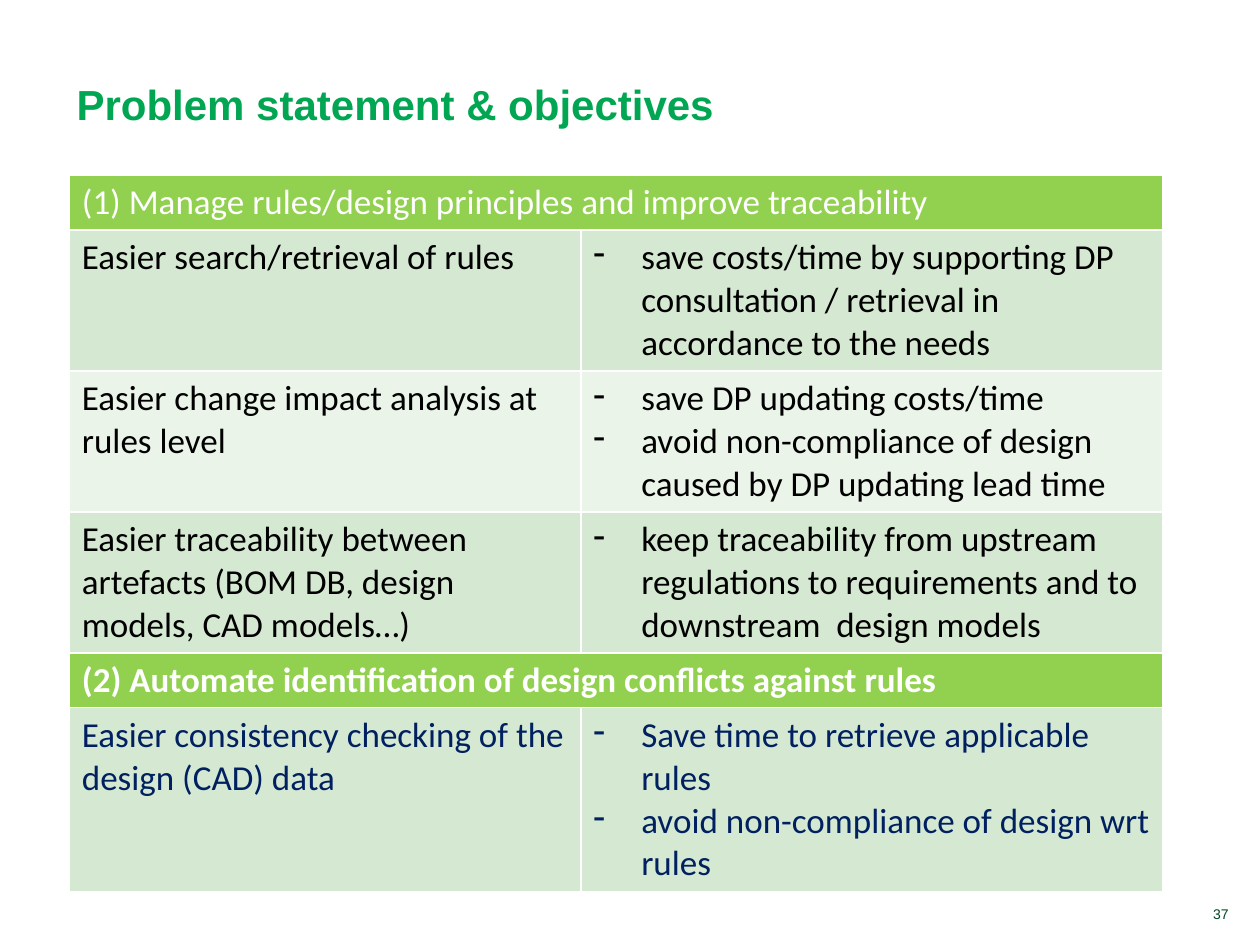
from lxml.etree import SubElement
from pptx import Presentation
from pptx.dml.color import RGBColor
from pptx.enum.text import MSO_ANCHOR, PP_ALIGN
from pptx.oxml.ns import qn
from pptx.util import Inches, Pt

# Content: (row height, fill, text colour, bold, cells as paragraph lists)
TITLE = "Problem statement & objectives"
PAGE = "37"
LIME, MINT, PALE = "92D050", "D5E8D1", "EBF4E9"
WHITE, BLACK, NAVY = "FFFFFF", "000000", "002060"
ROWS = [
    (0.43, LIME, WHITE, False,
     [["(1) Manage rules/design principles and improve traceability"]]),
    (1.12, MINT, BLACK, False,
     [["Easier search/retrieval of rules"],
      ["save costs/time by supporting DP consultation / retrieval in "
       "accordance to the needs"]]),
    (1.12, PALE, BLACK, False,
     [["Easier change impact analysis at rules level"],
      ["save DP updating costs/time",
       "avoid non-compliance of design caused by DP updating lead time"]]),
    (1.12, MINT, BLACK, False,
     [["Easier traceability between artefacts (BOM DB, design models, CAD models…)"],
      ["keep traceability from upstream regulations to requirements and to "
       "downstream  design models"]]),
    (0.43, LIME, WHITE, True,
     [["(2) Automate identification of design conflicts against rules"]]),
    (1.46, MINT, NAVY, False,
     [["Easier consistency checking of the design (CAD) data"],
      ["Save time to retrieve applicable  rules",
       "avoid non-compliance of design wrt rules"]]),
]
COLS = [4.06, 4.62]


def color(code):
    return RGBColor.from_string(code)


def style(par, code, **form):
    for key, val in form.items():
        setattr(par.font, key, val)
    par.font.color.rgb = color(code)


def add_label(slide, box, text, code, align, **form):
    shape = slide.shapes.add_textbox(*map(Inches, box))
    frame = shape.text_frame
    frame.word_wrap = True
    frame.vertical_anchor = MSO_ANCHOR.BOTTOM
    par = frame.paragraphs[0]
    par.text, par.alignment = text, align
    style(par, code, name="Arial", **form)


def add_dash(par):
    props = par._p.get_or_add_pPr()
    props.set("marL", str(Inches(0.38)))
    props.set("indent", str(-Inches(0.38)))
    SubElement(props, qn("a:buChar"), char="-")


def add_edges(cell):
    props = cell._tc.get_or_add_tcPr()
    for side in ("lnL", "lnR", "lnT", "lnB"):
        line = SubElement(props, qn("a:" + side), w=str(Pt(1)))
        fill = SubElement(line, qn("a:solidFill"))
        SubElement(fill, qn("a:srgbClr"), val=WHITE)


def fill_cell(cell, lines, code, bold, dash):
    frame = cell.text_frame
    for num, line in enumerate(lines):
        par = frame.add_paragraph() if num else frame.paragraphs[0]
        par.text = line
        if dash:
            add_dash(par)
        style(par, code, name="Calibri", size=Pt(20), bold=bold)


def add_grid(slide):
    high = sum(row[0] for row in ROWS)
    table = slide.shapes.add_table(
        len(ROWS), len(COLS), Inches(0.55), Inches(1.39),
        Inches(sum(COLS)), Inches(high)).table
    for col, wide in zip(table.columns, COLS):
        col.width = Inches(wide)
    for r, (tall, back, code, bold, cells) in enumerate(ROWS):
        table.rows[r].height = Inches(tall)
        for c in range(len(COLS)):
            cell = table.cell(r, c)
            add_edges(cell)
            cell.fill.solid()
            cell.fill.fore_color.rgb = color(back)
        for c, lines in enumerate(cells):
            fill_cell(table.cell(r, c), lines, code, bold, dash=c > 0)
        # A section heading spans the whole row
        if len(cells) == 1:
            table.cell(r, 0).merge(table.cell(r, 1))


def main():
    deck = Presentation()
    deck.slide_width, deck.slide_height = Inches(10), Inches(7.5)
    slide = deck.slides.add_slide(deck.slide_layouts[6])
    # Title, table, page number
    add_label(slide, (0.51, 0.16, 6.81, 0.91), TITLE, "00A651",
              PP_ALIGN.LEFT, size=Pt(24), bold=True)
    add_grid(slide)
    add_label(slide, (8.54, 7.14, 1.31, 0.23), PAGE, "004621",
              PP_ALIGN.RIGHT, size=Pt(8))
    deck.save("out.pptx")


if __name__ == "__main__":
    main()
